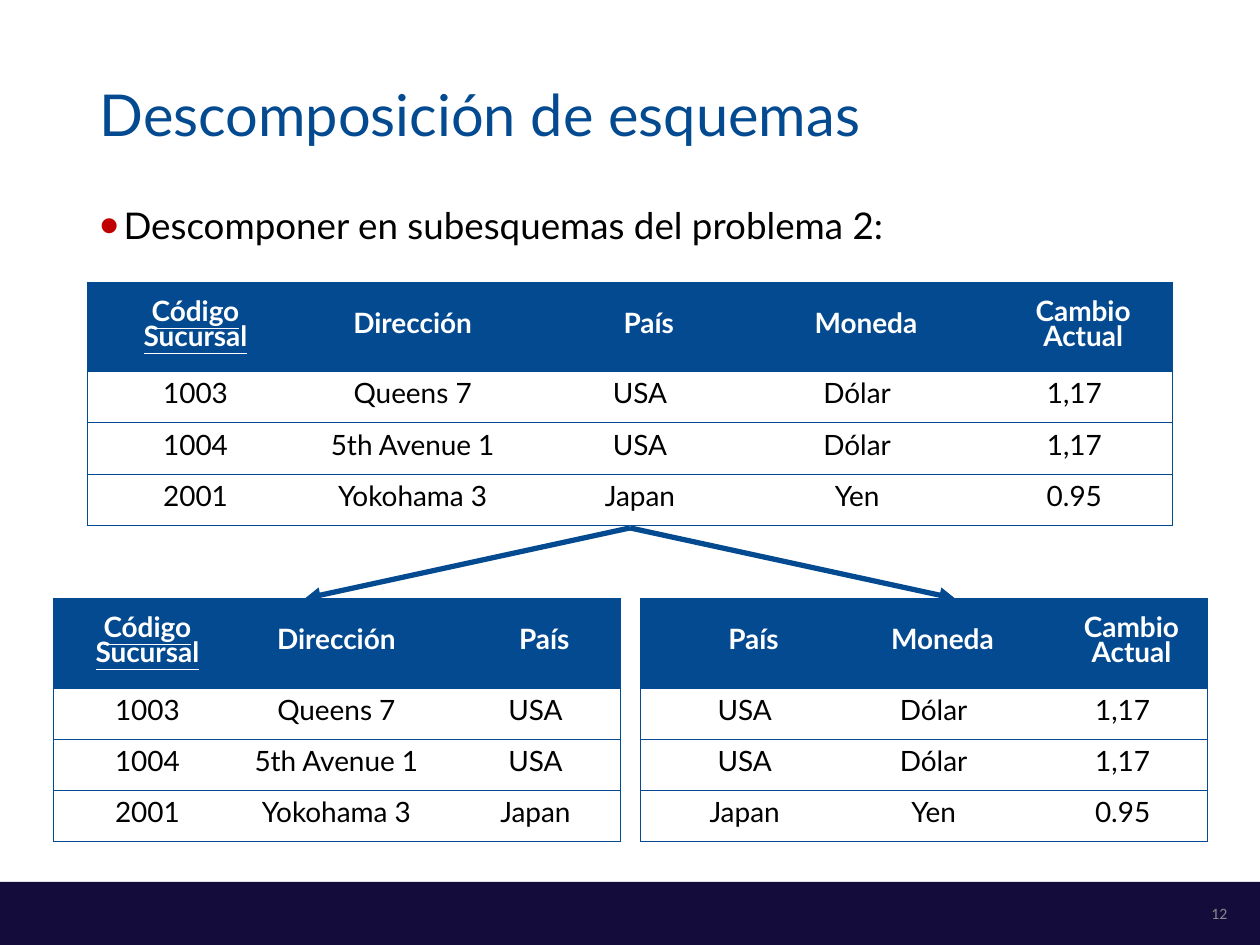
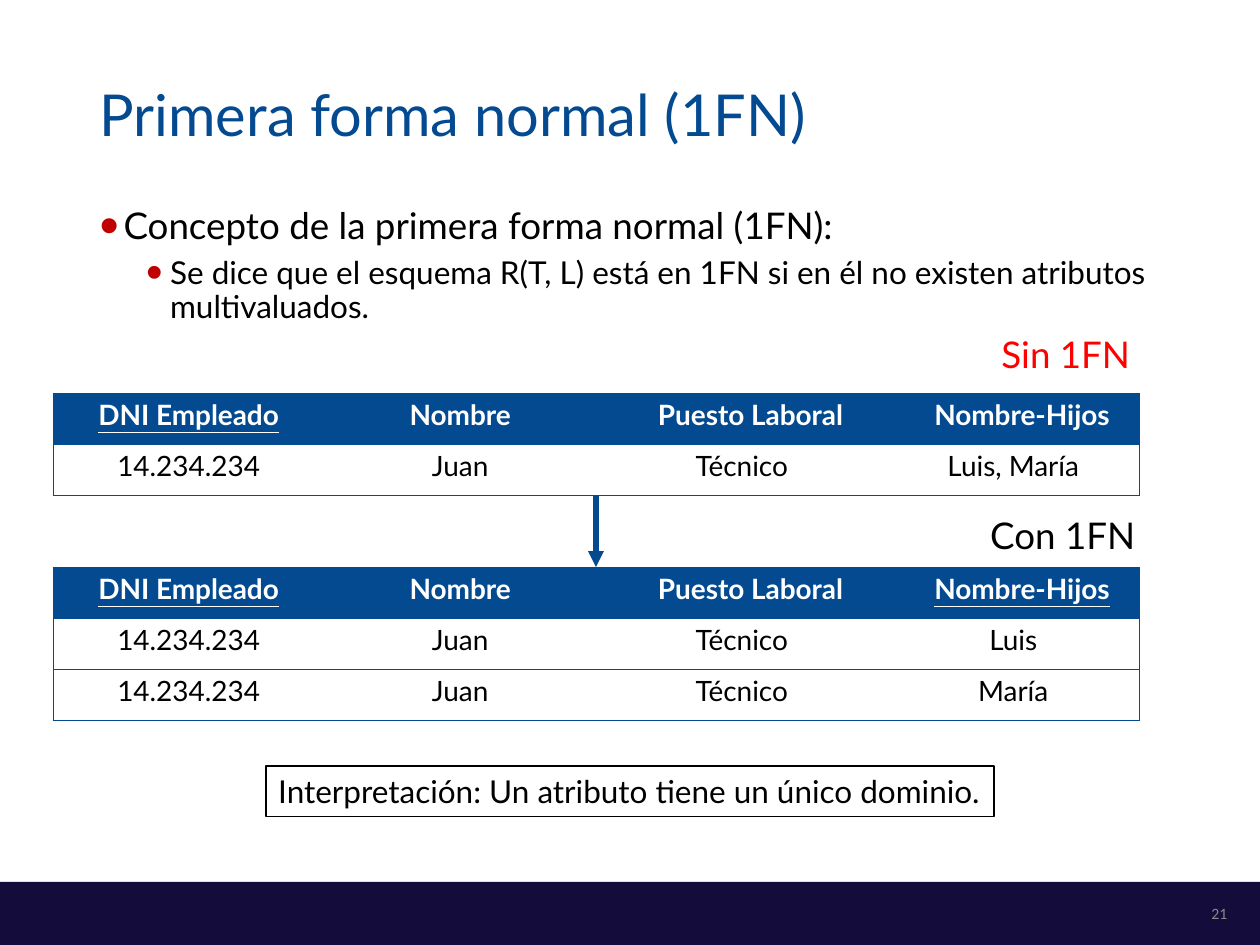
from lxml.etree import SubElement
from pptx import Presentation
from pptx.dml.color import RGBColor
from pptx.enum.shapes import MSO_CONNECTOR as Connector, MSO_SHAPE as Shape
from pptx.enum.text import MSO_ANCHOR as Anchor, MSO_AUTO_SIZE as AutoSize, PP_ALIGN as Align
from pptx.oxml.ns import qn
from pptx.util import Inches, Pt

BLUE, NAVY, RED, ALERT = "034A90", "140D3B", "C00000", "FF0000"
BLACK, WHITE, GRAY = "000000", "FFFFFF", "898989"
FONT = "Lato"

# The slide is a grid of 100 columns by 75 rows, each 0.1 inch.
COLUMNS, ROWS = 100, 75
MARGIN, TABLE_MARGIN = 6.9, 4.2
CONTENT_WIDTH = COLUMNS - 2 * MARGIN
HALF_WIDTH = 45
ROW_HEIGHT, TALL_HEADER = 4.06, 7.1

BRANCH_HEADER = ["Código\nSucursal", "Dirección", "País", "Moneda", "Cambio\nActual"]
BRANCHES = [
    ["1003", "Queens 7", "USA", "Dólar", "1,17"],
    ["1004", "5th Avenue 1", "USA", "Dólar", "1,17"],
    ["2001", "Yokohama 3", "Japan", "Yen", "0.95"],
]
EMPLOYEE_HEADER = ["DNI Empleado", "Nombre", "Puesto Laboral", "Nombre-Hijos"]
EMPLOYEE = ["14.234.234", "Juan", "Técnico"]


def grid(*cells):
    return [Inches(cell / 10) for cell in cells]


def color(hex_code):
    return RGBColor.from_string(hex_code)


def set_font(paragraph, size, hex_code, name=FONT, bold=False, underline=False):
    font = paragraph.font
    font.name, font.size = name, Pt(size)
    font.bold, font.underline = bold, underline
    font.color.rgb = color(hex_code)


def add_bullet(paragraph, left):
    properties = paragraph._p.get_or_add_pPr()
    properties.set("marL", str(Inches(left)))
    properties.set("indent", str(Inches(-0.19)))
    tint = SubElement(properties, qn("a:buClr"))
    SubElement(tint, qn("a:srgbClr"), val=RED)
    SubElement(properties, qn("a:buSzPct"), val="150000")
    SubElement(properties, qn("a:buFont"), typeface="Arial")
    SubElement(properties, qn("a:buChar"), char="•")


def place(shape, left, top, width, height):
    shape.left, shape.top, shape.width, shape.height = grid(left, top, width, height)


def add_rectangle(slide, box, fill, line=None):
    rectangle = slide.shapes.add_shape(Shape.RECTANGLE, *grid(*box))
    rectangle.shadow.inherit = False
    rectangle.fill.solid()
    rectangle.fill.fore_color.rgb = color(fill)
    if line:
        rectangle.line.color.rgb = color(line)
        rectangle.line.width = Pt(1)
    else:
        rectangle.line.fill.background()
    return rectangle


def write_line(shape, text, size, hex_code, align=Align.LEFT, name=FONT):
    """Write one unwrapped line of text into a shape."""
    frame = shape.text_frame
    frame.word_wrap = False
    paragraph = frame.paragraphs[0]
    paragraph.text, paragraph.alignment = text, align
    set_font(paragraph, size, hex_code, name)
    return frame


def add_label(slide, box, text, hex_code):
    label = slide.shapes.add_textbox(*grid(*box))
    write_line(label, text, 21, hex_code).auto_size = AutoSize.SHAPE_TO_FIT_TEXT


def add_arrow(slide, start, end):
    arrow = slide.shapes.add_connector(Connector.STRAIGHT, *grid(*start, *end))
    arrow.line.color.rgb = color(BLUE)
    arrow.line.width = Pt(3)
    SubElement(arrow.line._get_or_add_ln(), qn("a:tailEnd"), type="triangle")
    SubElement(arrow._element.spPr, qn("a:effectLst"))


def add_borders(cell, visible_sides):
    properties = cell._tc.get_or_add_tcPr()
    for side in "LRTB":
        border = SubElement(properties, qn(f"a:ln{side}"), w=str(Pt(0.5)))
        if side in visible_sides:
            fill = SubElement(border, qn("a:solidFill"))
            SubElement(fill, qn("a:srgbClr"), val=BLUE)
        else:
            SubElement(border, qn("a:noFill"))


def fill_cell(cell, text, is_header, is_key, indent):
    cell.vertical_anchor = Anchor.MIDDLE
    cell.margin_left = cell.margin_right = Inches(0.07)
    cell.margin_top = cell.margin_bottom = 0
    cell.fill.solid()
    cell.fill.fore_color.rgb = color(BLUE if is_header else WHITE)
    cell.text = text
    for paragraph in cell.text_frame.paragraphs:
        paragraph._p.get_or_add_pPr().set("marL", str(Inches(indent)))
        paragraph.alignment = Align.CENTER
        paragraph.line_spacing = Pt(14.4)
        set_font(paragraph, 16, WHITE if is_header else BLACK, bold=is_header, underline=is_key)


def add_relation(slide, left, top, width, header, records, keys=(),
                 header_height=ROW_HEIGHT, flush_columns=2):
    """Draw a relation; columns after the flush ones are indented."""
    heights = [header_height] + [ROW_HEIGHT] * len(records)
    frame = slide.shapes.add_table(len(heights), len(header),
                                   *grid(left, top, width, sum(heights)))
    table = frame.table
    table.horz_banding = False
    for column in table.columns:
        column.width = Inches(width / 10 / len(header))
    for row, height in zip(table.rows, heights):
        row.height = Inches(height / 10)
    for r, values in enumerate([header, *records]):
        is_header = r == 0
        for c, text in enumerate(values):
            cell = table.cell(r, c)
            sides = "TB" + "L" * (c == 0) + "R" * (c == len(header) - 1)
            add_borders(cell, sides)
            indent = 0 if c < flush_columns else 0.3 if is_header else 0.16
            fill_cell(cell, text, is_header, is_header and text in keys, indent)


def add_content_slide(deck, title, points, number):
    """Add a slide with title, bullets (text, level), band and page number."""
    slide = deck.slides.add_slide(deck.slide_layouts[1])
    heading, body = slide.placeholders
    place(heading, MARGIN, 4, CONTENT_WIDTH, 10)
    place(body, MARGIN, 16, CONTENT_WIDTH, 52.5)
    write_line(heading, title, 33, BLUE)
    heading.text_frame.word_wrap = True
    heading.text_frame.vertical_anchor = Anchor.MIDDLE
    heading.text_frame.auto_size = body.text_frame.auto_size = AutoSize.NONE

    body.text_frame.text = "\n".join(text for text, _ in points)
    for i, (paragraph, (_, level)) in enumerate(zip(body.text_frame.paragraphs, points)):
        paragraph.level = level
        add_bullet(paragraph, 0.56 if level else 0.19)
        paragraph.line_spacing = 0.9
        paragraph.space_before = Pt(5.4 if i else 0)
        set_font(paragraph, 18 if level else 21, BLACK)

    add_rectangle(slide, (0, 70, COLUMNS, ROWS - 70), NAVY)
    page = slide.shapes.add_textbox(*grid(85.6, 70.5, 12.8, 4))
    frame = write_line(page, number, 9, GRAY, Align.RIGHT, "Calibri")
    frame.word_wrap = True
    frame.vertical_anchor = Anchor.MIDDLE
    return slide


def add_decomposition(deck):
    slide = add_content_slide(deck, "Descomposición de esquemas",
                              [("Descomponer en subesquemas del problema 2:", 0)], "12")
    keys = BRANCH_HEADER[:1]
    parts_top = 47.5
    add_relation(slide, MARGIN, 22.4, CONTENT_WIDTH, BRANCH_HEADER, BRANCHES, keys, TALL_HEADER)
    add_relation(slide, TABLE_MARGIN, parts_top, HALF_WIDTH, BRANCH_HEADER[:3],
                 [branch[:3] for branch in BRANCHES], keys, TALL_HEADER)
    add_relation(slide, COLUMNS - TABLE_MARGIN - HALF_WIDTH, parts_top, HALF_WIDTH,
                 BRANCH_HEADER[2:], [branch[2:] for branch in BRANCHES],
                 header_height=TALL_HEADER, flush_columns=0)
    middle = COLUMNS / 2
    for offset in (-25.8, 25.8):
        add_arrow(slide, (middle, 41.9), (middle + offset, parts_top))


def add_first_normal_form(deck):
    slide = add_content_slide(deck, "Primera forma normal (1FN)", [
        ("Concepto de la primera forma normal (1FN):", 0),
        ("Se dice que el esquema R(T, L) está en 1FN si en él no existen atributos "
         "multivaluados.", 1),
    ], "21")
    before_top, after_top = 31.2, 45
    add_relation(slide, TABLE_MARGIN, before_top, CONTENT_WIDTH, EMPLOYEE_HEADER,
                 [EMPLOYEE + ["Luis, María"]], EMPLOYEE_HEADER[:1])
    add_relation(slide, TABLE_MARGIN, after_top, CONTENT_WIDTH, EMPLOYEE_HEADER,
                 [EMPLOYEE + [child] for child in ("Luis", "María")],
                 (EMPLOYEE_HEADER[0], EMPLOYEE_HEADER[-1]))
    middle = TABLE_MARGIN + CONTENT_WIDTH / 2
    add_arrow(slide, (middle, before_top + 2 * ROW_HEIGHT), (middle, after_top))

    reading = add_rectangle(slide, (21.1, 60.8, 57.8, 4), WHITE, BLACK)
    write_line(reading, "Interpretación: Un atributo tiene un único dominio.", 18, BLACK)
    add_label(slide, (78.5, 25.8, 12.6, 4.5), "Sin 1FN", ALERT)
    add_label(slide, (77.6, 40.2, 13.8, 4.5), "Con 1FN", BLACK)


def main():
    deck = Presentation()
    deck.slide_width, deck.slide_height = grid(COLUMNS, ROWS)
    add_decomposition(deck)
    add_first_normal_form(deck)
    deck.save("out.pptx")


if __name__ == "__main__":
    main()
